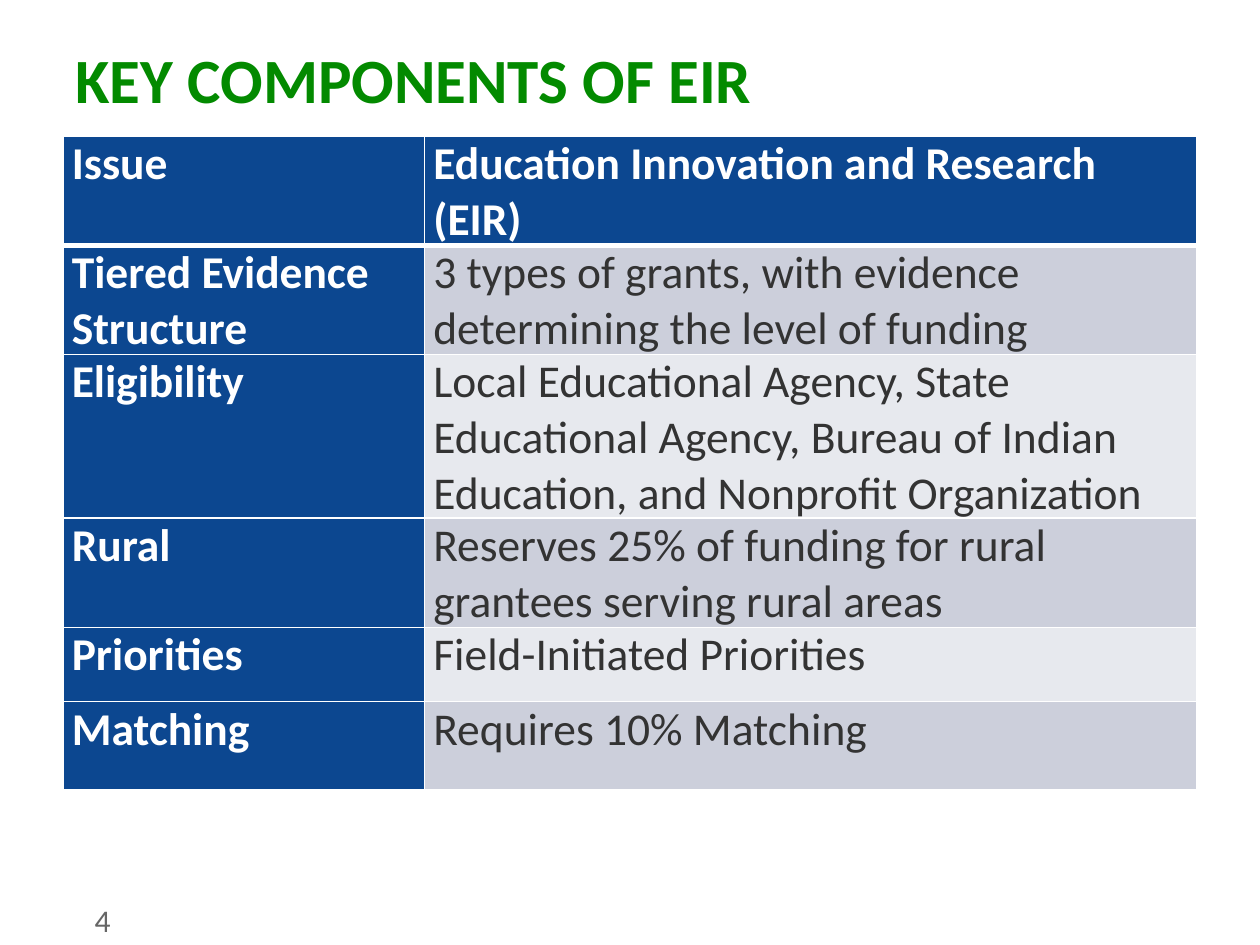
from lxml import etree
from pptx import Presentation
from pptx.dml.color import RGBColor
from pptx.enum.text import MSO_ANCHOR, PP_ALIGN
from pptx.oxml.ns import qn
from pptx.util import Inches, Pt

TOP, LEFT = MSO_ANCHOR.TOP, PP_ALIGN.LEFT
GREEN = RGBColor(0x03, 0x8A, 0x00)
BLUE = RGBColor(0x0C, 0x47, 0x90)
WHITE = RGBColor(0xFF, 0xFF, 0xFF)
DARK = RGBColor(0x33, 0x33, 0x33)
GRAY = RGBColor(0x66, 0x66, 0x66)
BANDS = (RGBColor(0xCC, 0xCF, 0xDB), RGBColor(0xE7, 0xE9, 0xEE))

ROWS = [
    ("Issue", "Education Innovation and Research (EIR)", 0.72),
    ("Tiered Evidence Structure",
     "3 types of grants, with evidence determining the level of funding", 0.7),
    ("Eligibility",
     "Local Educational Agency, State Educational Agency, Bureau of Indian "
     "Education, and Nonprofit Organization", 0.94),
    ("Rural",
     "Reserves 25% of funding for rural grantees serving rural areas", 0.69),
    ("Priorities", "Field-Initiated Priorities", 0.59),
    ("Matching", "Requires 10% Matching", 0.7),
]
COLS = (2.87, 6.13)


class Deck:
    font = "Calibri"

    def __init__(self, slide):
        self.slide = slide

    def add_text(self, frame, text, size, color, bold=False):
        para = frame.paragraphs[0]
        para.alignment = LEFT
        run = para.add_run()
        run.text = text
        font = run.font
        font.name, font.size, font.bold = self.font, Pt(size), bold
        font.color.rgb = color

    def inset(self, frame, side, top, base):
        frame.word_wrap = True
        frame.vertical_anchor = TOP
        frame.margin_left = frame.margin_right = Inches(side)
        frame.margin_top, frame.margin_bottom = Inches(top), Inches(base)

    def title(self, text, box):
        shape = self.slide.shapes.title
        shape.left, shape.top, shape.width, shape.height = map(Inches, box)
        self.inset(shape.text_frame, 0.1, 0.07, 0)
        self.add_text(shape.text_frame, text, 36, GREEN, True)

    def label(self, text, box):
        shape = self.slide.shapes.add_textbox(*map(Inches, box))
        self.inset(shape.text_frame, 0, 0.05, 0.05)
        self.add_text(shape.text_frame, text, 18, GRAY)

    def edge(self, cell, side, width):
        props = cell._tc.get_or_add_tcPr()
        line = etree.SubElement(props, qn("a:" + side), w=str(Pt(width)))
        fill = etree.SubElement(line, qn("a:solidFill"))
        etree.SubElement(fill, qn("a:srgbClr"), val=str(WHITE))

    def cell(self, cell, text, row, head):
        cell.margin_left = cell.margin_right = Inches(0.07)
        cell.margin_top = cell.margin_bottom = 0
        cell.vertical_anchor = TOP
        # Borders come before the fill; the header rule is thicker
        for side in ("lnL", "lnR", "lnT", "lnB"):
            thick = (row, side) in ((0, "lnB"), (1, "lnT"))
            self.edge(cell, side, 3 if thick else 1)
        cell.fill.solid()
        cell.fill.fore_color.rgb = BLUE if head else BANDS[(row - 1) % 2]
        self.add_text(cell.text_frame, text, 26, WHITE if head else DARK, head)

    def table(self, rows, cols, box):
        shape = self.slide.shapes.add_table(
            len(rows), len(cols), *map(Inches, box))
        grid = shape.table
        for col, width in zip(grid.columns, cols):
            col.width = Inches(width)
        for r, (*texts, height) in enumerate(rows):
            grid.rows[r].height = Inches(height)
            for c, text in enumerate(texts):
                self.cell(grid.cell(r, c), text, r, r == 0 or c == 0)


def main():
    prs = Presentation()
    prs.slide_width, prs.slide_height = Inches(10), Inches(7.5)
    deck = Deck(prs.slides.add_slide(prs.slide_layouts[5]))

    # Title
    deck.title("KEY COMPONENTS OF EIR", (0.5, 0.25, 9, 0.62))
    # Page number
    deck.label("4", (0.75, 7.1, 0.58, 0.4))
    # Components table
    deck.table(ROWS, COLS, (0.5, 1.08, 9, 5.19))

    prs.save("out.pptx")


if __name__ == "__main__":
    main()
